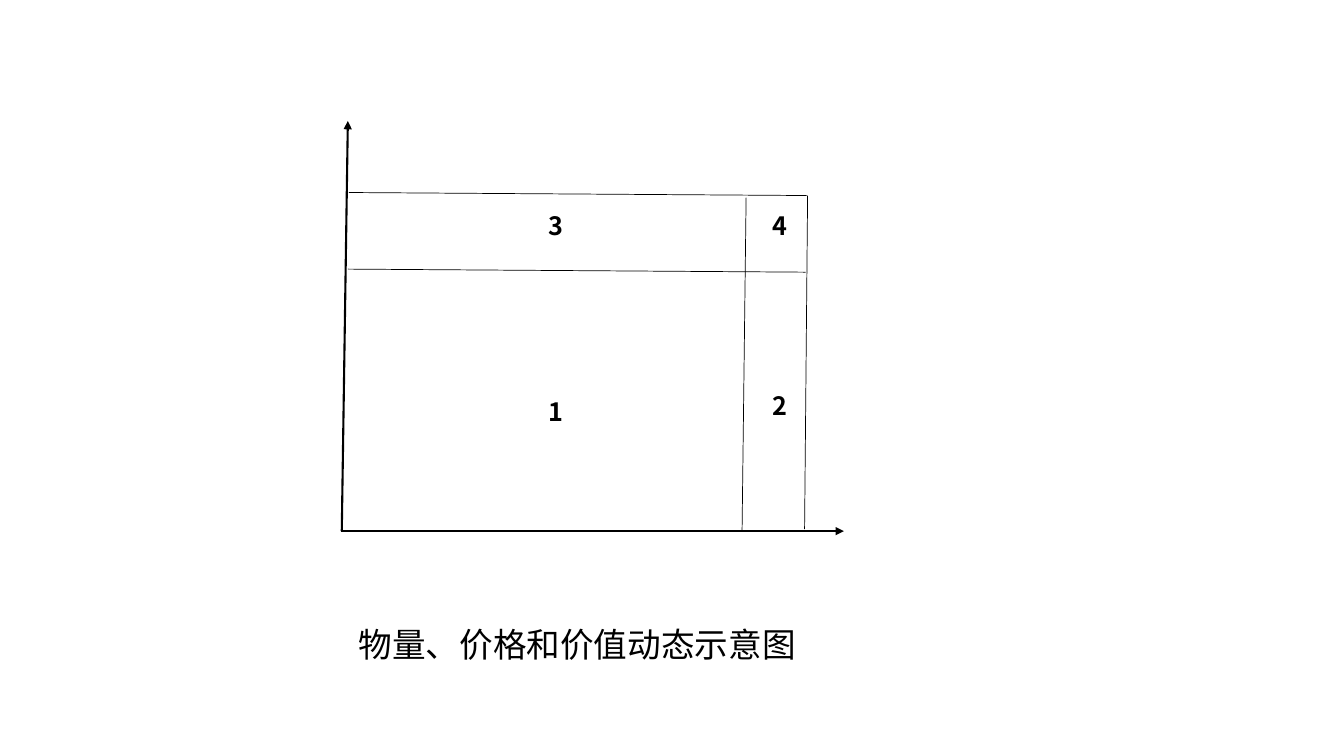
from lxml import etree
from pptx import Presentation
from pptx.dml.color import RGBColor
from pptx.enum.shapes import MSO_CONNECTOR
from pptx.enum.text import MSO_ANCHOR, MSO_AUTO_SIZE, PP_ALIGN
from pptx.oxml.ns import qn
from pptx.util import Inches, Pt

BLACK = RGBColor(0, 0, 0)
FONT = "Noto Sans CJK SC"

CAPTION = "物量、价格和价值动态示意图"
CAPTION_BOX = (-0.94, 6.14, 13.33, 0.5)

# Start x, y and end x, y in inches
AXES = [(3.38, 5.27, 8.37, 5.27), (3.39, 5.27, 3.45, 1.2)]
DIVIDERS = [
    (3.45, 2.67, 7.99, 2.7),
    (7.4, 1.96, 7.36, 5.27),
    (3.46, 1.91, 8, 1.94),
    (8.01, 1.94, 7.98, 5.25),
]
AREA_LABELS = [("1", 5.34, 3.88), ("4", 7.56, 2.04), ("3", 5.34, 2.04), ("2", 7.56, 3.82)]
LABEL_SIZE = (0.34, 0.4)


def add_line(slide, ends, width, arrow=False):
    connector = slide.shapes.add_connector(MSO_CONNECTOR.STRAIGHT, *map(Inches, ends))
    connector.line.color.rgb = BLACK
    connector.line.width = Pt(width)
    if arrow:
        outline = connector.line._get_or_add_ln()
        etree.SubElement(outline, qn("a:tailEnd"), type="triangle")
    etree.SubElement(connector._element.spPr, qn("a:effectLst"))


def write_text(shape, text, size, bold, wrap, alignment):
    frame = shape.text_frame
    frame.text = text
    frame_format = {
        "word_wrap": wrap,
        "auto_size": MSO_AUTO_SIZE.SHAPE_TO_FIT_TEXT,
        "vertical_anchor": MSO_ANCHOR.TOP,
    }
    for name, value in frame_format.items():
        setattr(frame, name, value)
    paragraph = frame.paragraphs[0]
    paragraph.alignment = alignment
    font = paragraph.runs[0].font
    for name, value in {"name": FONT, "size": Pt(size), "bold": bold}.items():
        setattr(font, name, value)
    font.color.rgb = BLACK
    etree.SubElement(font._element, qn("a:ea"), typeface=FONT)


def main():
    presentation = Presentation()
    presentation.slide_width = Inches(13.33)
    presentation.slide_height = Inches(7.5)
    slide = presentation.slides.add_slide(presentation.slide_layouts[5])

    for ends in AXES:
        add_line(slide, ends, 1.5, arrow=True)
    for ends in DIVIDERS:
        add_line(slide, ends, 0.5)

    for text, left, top in AREA_LABELS:
        label = slide.shapes.add_textbox(*map(Inches, (left, top, *LABEL_SIZE)))
        write_text(label, text, 18, True, False, PP_ALIGN.LEFT)

    caption = slide.shapes.title
    for name, value in zip(("left", "top", "width", "height"), CAPTION_BOX):
        setattr(caption, name, Inches(value))
    write_text(caption, CAPTION, 24, False, True, PP_ALIGN.CENTER)

    presentation.save("out.pptx")


if __name__ == "__main__":
    main()
